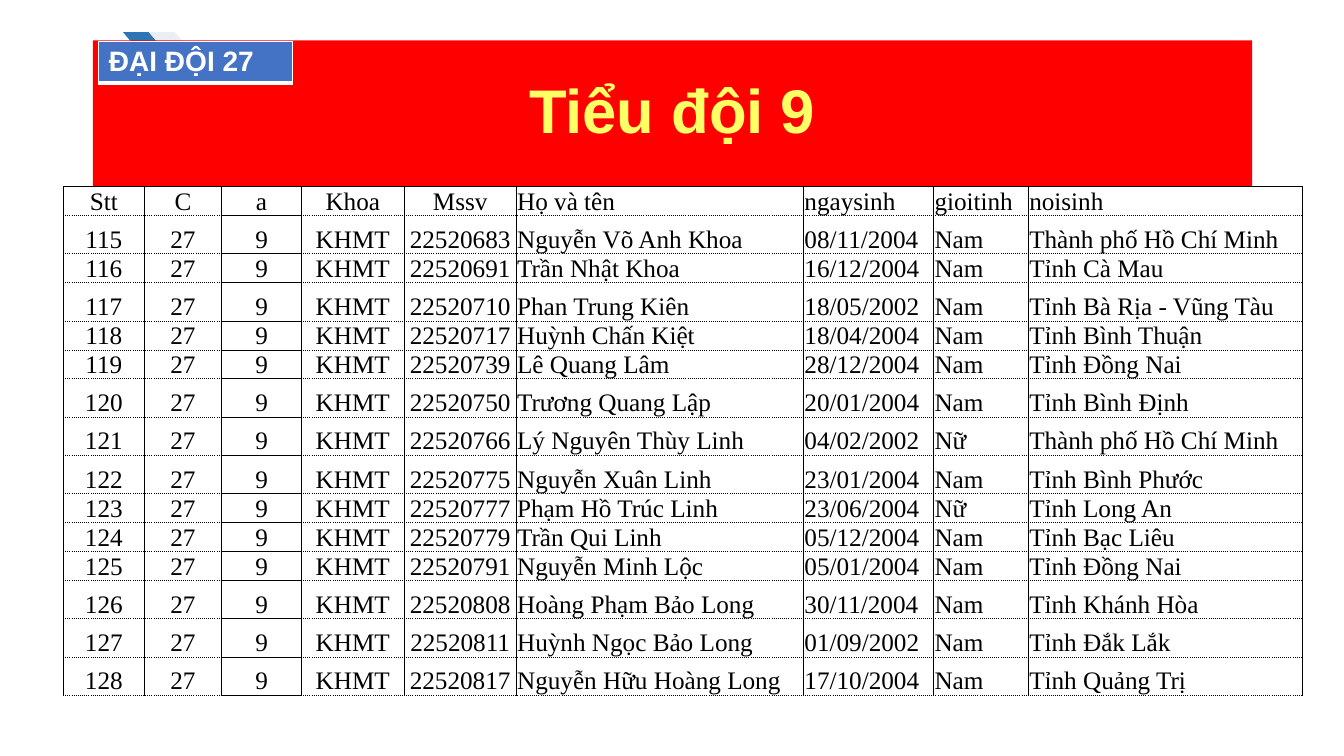
from lxml import etree
from pptx import Presentation
from pptx import util as u
from pptx.dml.color import RGBColor
from pptx.enum import shapes, text
from pptx.oxml.ns import qn

TITLE = "Tiểu đội 9"
COMPANY = "ĐẠI ĐỘI 27"
CHEVRONS = [(1.22, "2E75B6"), (1.48, "EBEEF2")]
HEADER = ["Stt", "C", "a", "Khoa", "Mssv", "Họ và tên", "ngaysinh", "gioitinh", "noisinh"]
COLUMN_WIDTHS = [0.8, 0.77, 0.79, 1.02, 1.11, 2.85, 1.29, 0.94, 2.72]
CENTRED_COLUMNS = 5
SQUAD_COLUMN = HEADER.index("a")
FIRST_NUMBER = 115
SHARED = ["27", "9", "KHMT"]
HEADER_HEIGHT, SHORT, TALL = 0.14, 0.25, 0.38
STUDENTS = [
    (TALL, "22520683", "Nguyễn Võ Anh Khoa", "08/11/2004", "Nam", "Thành phố Hồ Chí Minh"),
    (SHORT, "22520691", "Trần Nhật Khoa", "16/12/2004", "Nam", "Tỉnh Cà Mau"),
    (TALL, "22520710", "Phan Trung Kiên", "18/05/2002", "Nam", "Tỉnh Bà Rịa - Vũng Tàu"),
    (SHORT, "22520717", "Huỳnh Chấn Kiệt", "18/04/2004", "Nam", "Tỉnh Bình Thuận"),
    (SHORT, "22520739", "Lê Quang Lâm", "28/12/2004", "Nam", "Tỉnh Đồng Nai"),
    (TALL, "22520750", "Trương Quang Lập", "20/01/2004", "Nam", "Tỉnh Bình Định"),
    (TALL, "22520766", "Lý Nguyên Thùy Linh", "04/02/2002", "Nữ", "Thành phố Hồ Chí Minh"),
    (TALL, "22520775", "Nguyễn Xuân Linh", "23/01/2004", "Nam", "Tỉnh Bình Phước"),
    (SHORT, "22520777", "Phạm Hồ Trúc Linh", "23/06/2004", "Nữ", "Tỉnh Long An"),
    (SHORT, "22520779", "Trần Qui Linh", "05/12/2004", "Nam", "Tỉnh Bạc Liêu"),
    (SHORT, "22520791", "Nguyễn Minh Lộc", "05/01/2004", "Nam", "Tỉnh Đồng Nai"),
    (TALL, "22520808", "Hoàng Phạm Bảo Long", "30/11/2004", "Nam", "Tỉnh Khánh Hòa"),
    (TALL, "22520811", "Huỳnh Ngọc Bảo Long", "01/09/2002", "Nam", "Tỉnh Đắk Lắk"),
    (TALL, "22520817", "Nguyễn Hữu Hoàng Long", "17/10/2004", "Nam", "Tỉnh Quảng Trị"),
]


def paint(fill, colour):
    fill.solid()
    fill.fore_color.rgb = RGBColor.from_string(colour)


def style_text(paragraph, name, size, colour, bold=False):
    for run in paragraph.runs:
        run.font.name = name
        run.font.size = u.Pt(size)
        run.font.bold = bold
        run.font.color.rgb = RGBColor.from_string(colour)


def set_borders(cell, colour, borders):
    """Draw left, right, top and bottom borders, each a (points, dash) pair."""
    properties = cell._tc.get_or_add_tcPr()
    for index, (side, (points, dash)) in enumerate(zip("LRTB", borders)):
        line = etree.Element(qn(f"a:ln{side}"), w=str(u.Pt(points)))
        fill = etree.SubElement(line, qn("a:solidFill"))
        etree.SubElement(fill, qn("a:srgbClr"), val=colour)
        etree.SubElement(line, qn("a:prstDash"), val=dash)
        properties.insert(index, line)


def add_grid(slide, left, top, widths, heights):
    frame = slide.shapes.add_table(len(heights), len(widths), u.Inches(left), u.Inches(top),
                                   u.Inches(sum(widths)), u.Inches(sum(heights)))
    table = frame.table
    table.first_row = table.horz_banding = False
    for column, width in zip(table.columns, widths):
        column.width = u.Inches(width)
    for row, height in zip(table.rows, heights):
        row.height = u.Inches(height)
    return table


def add_chevrons(slide):
    """Place the chevrons behind the title."""
    for order, (left, colour) in enumerate(CHEVRONS):
        chevron = slide.shapes.add_shape(shapes.MSO_SHAPE.CHEVRON, u.Inches(left), u.Inches(0.32),
                                         u.Inches(0.51), u.Inches(0.6))
        chevron.shadow.inherit = False
        paint(chevron.fill, colour)
        chevron.line.fill.background()
        slide.shapes._spTree.insert(2 + order, chevron._element)


def format_title(title):
    title.left, title.top = u.Inches(0.92), u.Inches(0.4)
    title.width, title.height = u.Inches(11.5), u.Inches(1.45)
    paint(title.fill, "FF0000")
    title.text_frame.text = TITLE
    title.text_frame.vertical_anchor = text.MSO_ANCHOR.MIDDLE
    paragraph = title.text_frame.paragraphs[0]
    paragraph.alignment = text.PP_ALIGN.CENTER
    paragraph.line_spacing = 0.9
    style_text(paragraph, "Arial", 44, "FFFF66", bold=True)


def add_roster(slide):
    rows = [HEADER] + [[str(FIRST_NUMBER + index), *SHARED, *student[1:]]
                       for index, student in enumerate(STUDENTS)]
    heights = [HEADER_HEIGHT] + [student[0] for student in STUDENTS]
    table = add_grid(slide, 0.63, 1.85, COLUMN_WIDTHS, heights)
    solid, dotted = (0.5, "solid"), (0.5, "sysDot")
    for row, values in enumerate(rows):
        for column, value in enumerate(values):
            cell = table.cell(row, column)
            cell.text_frame.text = value
            cell.vertical_anchor = text.MSO_ANCHOR.BOTTOM
            cell.margin_left = cell.margin_right = cell.margin_top = u.Inches(0.01)
            cell.margin_bottom = 0
            cell.fill.background()
            paragraph = cell.text_frame.paragraphs[0]
            centred = column < CENTRED_COLUMNS
            paragraph.alignment = text.PP_ALIGN.CENTER if centred else text.PP_ALIGN.LEFT
            style_text(paragraph, "Times New Roman", 18, "000000")
            below = solid if column == SQUAD_COLUMN else dotted
            above = solid if row == 0 else below
            set_borders(cell, "000000", [solid, solid, above, below])


def add_company_label(slide):
    cell = add_grid(slide, 0.98, 0.41, [1.92], [0.41]).cell(0, 0)
    cell.text_frame.text = COMPANY
    paint(cell.fill, "4472C4")
    style_text(cell.text_frame.paragraphs[0], "Arial", 20, "FFFFFF", bold=True)
    set_borders(cell, "FFFFFF", [(1, "solid")] * 3 + [(3, "solid")])


def main():
    presentation = Presentation()
    presentation.slide_width, presentation.slide_height = u.Inches(13.33), u.Inches(7.5)
    slide = presentation.slides.add_slide(presentation.slide_layouts[5])
    add_chevrons(slide)
    format_title(slide.shapes.title)
    add_roster(slide)
    add_company_label(slide)
    presentation.save("out.pptx")


if __name__ == "__main__":
    main()
